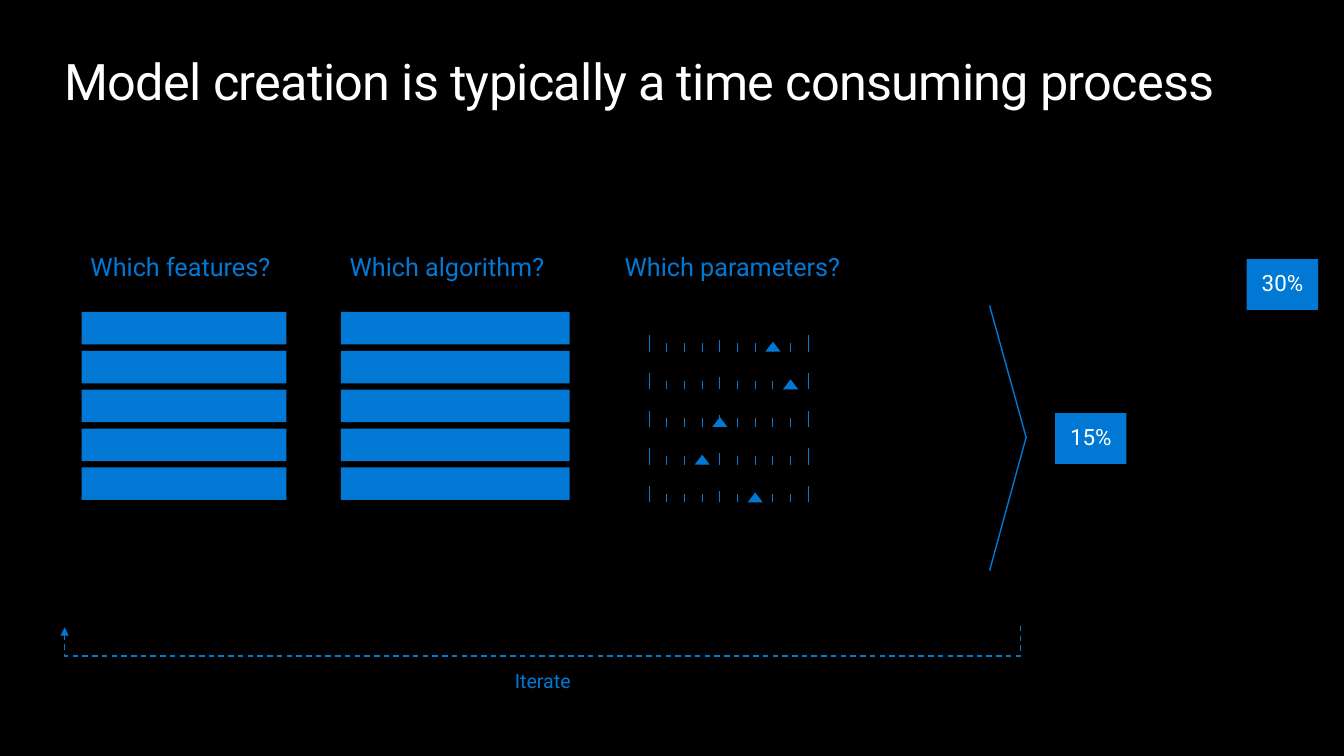
from lxml import etree
from pptx import Presentation
from pptx.dml.color import RGBColor
from pptx.enum.dml import MSO_LINE
from pptx.enum.shapes import MSO_CONNECTOR as CONN, MSO_SHAPE as SHAPE
from pptx.enum.text import MSO_ANCHOR, PP_ALIGN
from pptx.oxml.ns import qn
from pptx.util import Cm, Pt

BLACK = RGBColor(0x00, 0x00, 0x00)
WHITE = RGBColor(0xFF, 0xFF, 0xFF)
BLUE = RGBColor(0x00, 0x78, 0xD4)

prs = Presentation()
prs.slide_width, prs.slide_height = Cm(33.87), Cm(19.05)
s = prs.slides.add_slide(prs.slide_layouts[6])
s.background.fill.solid()
s.background.fill.fore_color.rgb = BLACK


def add_solid(kind, x, y, w, h):
    """Add a blue preset shape without outline; lengths in cm."""
    sp = s.shapes.add_shape(kind, Cm(x), Cm(y), Cm(w), Cm(h))
    sp.shadow.inherit = False
    sp.fill.solid()
    sp.fill.fore_color.rgb = BLUE
    sp.line.fill.background()
    return sp


def write_text(sp, text, size, color, align=PP_ALIGN.LEFT, spacing=0.9):
    tf = sp.text_frame
    tf.word_wrap = True
    p = tf.paragraphs[0]
    p.alignment, p.line_spacing = align, spacing
    r = p.add_run()
    r.text = text
    for name, value in {"name": "Roboto", "size": Pt(size)}.items():
        setattr(r.font, name, value)
    r.font.color.rgb = color
    return r


# Title
title = s.shapes.add_textbox(Cm(1.63), Cm(1.27), Cm(30.61), Cm(1.55))
for side in ("left", "top", "right", "bottom"):
    setattr(title.text_frame, f"margin_{side}", 0)
r = write_text(title, "Model creation is typically a time consuming process",
               36, WHITE, spacing=1.0)
r.font._element.set("spc", "-50")

# Column headings
for text, x, w in (("Which features?", 2.03, 5.74),
                   ("Which algorithm?", 8.56, 6.15),
                   ("Which parameters?", 15.49, 6.71)):
    heading = s.shapes.add_textbox(Cm(x), Cm(6.3), Cm(w), Cm(0.94))
    write_text(heading, text, 18, BLUE)

# Feature and algorithm bars
for x, w in ((2.06, 5.16), (8.59, 5.77)):
    for row in range(5):
        add_solid(SHAPE.RECTANGLE, x, 7.86 + 0.98 * row, w, 0.82)

# Parameter scales: ten ticks each, with a marker on the chosen tick
connectors = []
TICK_HEIGHTS = {0: 0.41, 4: 0.3, 9: 0.41}
for row, chosen in enumerate((7, 8, 4, 3, 6)):
    base = 8.86 + 0.95 * row
    xs = [16.36 + 4.01 * i / 9 for i in range(10)]
    for i, x in enumerate(xs):
        top = base - TICK_HEIGHTS.get(i, 0.22)
        tick = s.shapes.add_connector(CONN.STRAIGHT, Cm(x), Cm(base), Cm(x), Cm(top))
        tick.line.width = Pt(0.75)
        connectors.append(tick)
    add_solid(SHAPE.ISOSCELES_TRIANGLE, xs[chosen] - 0.19, base - 0.25, 0.38, 0.25)

# Chevron
fb = s.shapes.build_freeform(Cm(24.94), Cm(7.7))
fb.add_line_segments([(Cm(25.86), Cm(11.02)), (Cm(24.94), Cm(14.38))], close=False)
chevron = fb.convert_to_shape()
chevron.shadow.inherit = False
chevron.fill.background()
chevron.line.color.rgb = BLUE
chevron.line.width = Pt(1)

# Percentages
for text, x, y in (("30%", 31.42, 6.53), ("15%", 26.59, 10.41)):
    box = add_solid(SHAPE.RECTANGLE, x, y, 1.8, 1.28)
    box.text_frame.vertical_anchor = MSO_ANCHOR.MIDDLE
    write_text(box, text, 16, WHITE, PP_ALIGN.CENTER)

# Iterate loop: an elbow turned by 90 degrees, its bend 0.76 cm below the start
loop = s.shapes.add_connector(CONN.ELBOW, Cm(13.65), Cm(3.75), Cm(13.69), Cm(27.83))
loop.line.width = Pt(1)
loop.line.dash_style = MSO_LINE.DASH
connectors.append(loop)
spPr = loop._element.spPr
spPr.find(qn("a:xfrm")).set("rot", "5400000")
guides = spPr.find(qn("a:prstGeom")).get_or_add_avLst()
etree.SubElement(guides, qn("a:gd"), name="adj1", fmla="val 1900000")

for c in connectors:
    c.line.color.rgb = BLUE
    etree.SubElement(c._element.spPr, qn("a:effectLst"))
etree.SubElement(spPr.find(qn("a:ln")), qn("a:tailEnd"), type="triangle")

label = s.shapes.add_textbox(Cm(12.27), Cm(16.81), Cm(2.82), Cm(0.79))
write_text(label, "Iterate", 14, BLUE, PP_ALIGN.CENTER)

prs.save("out.pptx")
